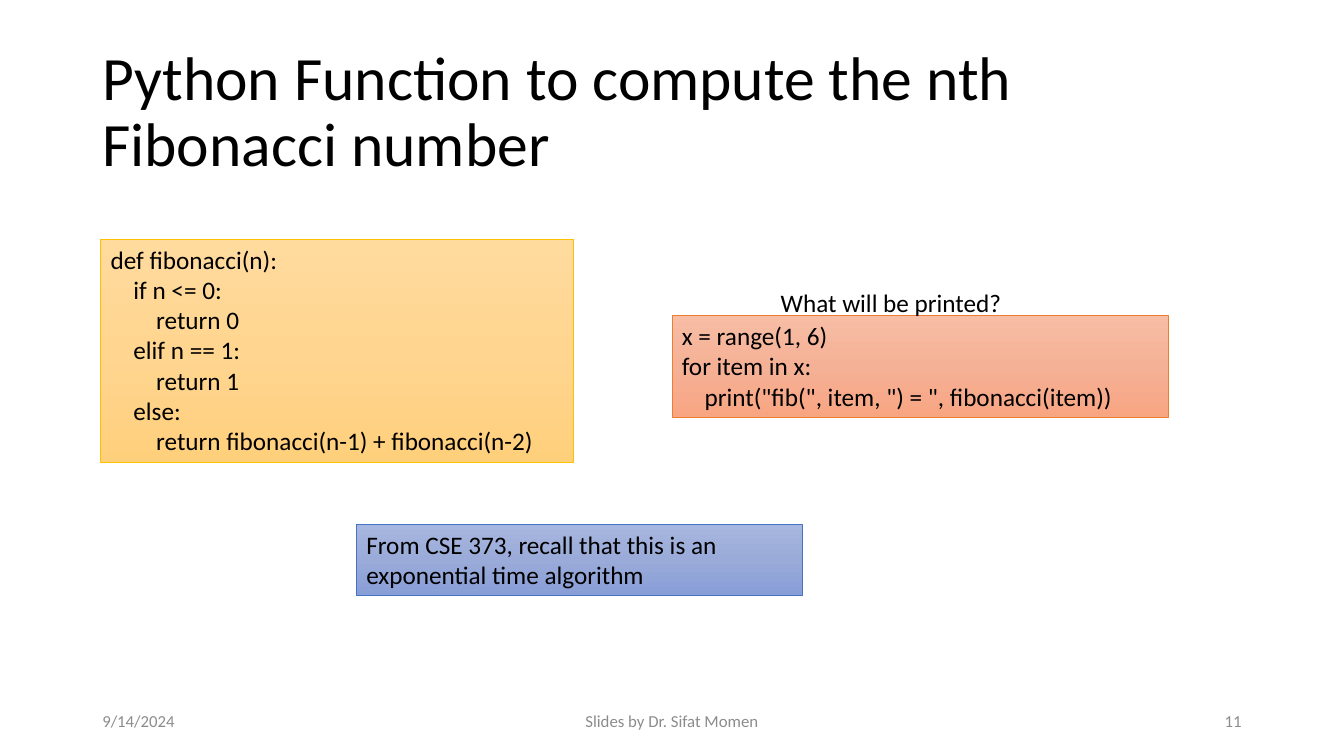
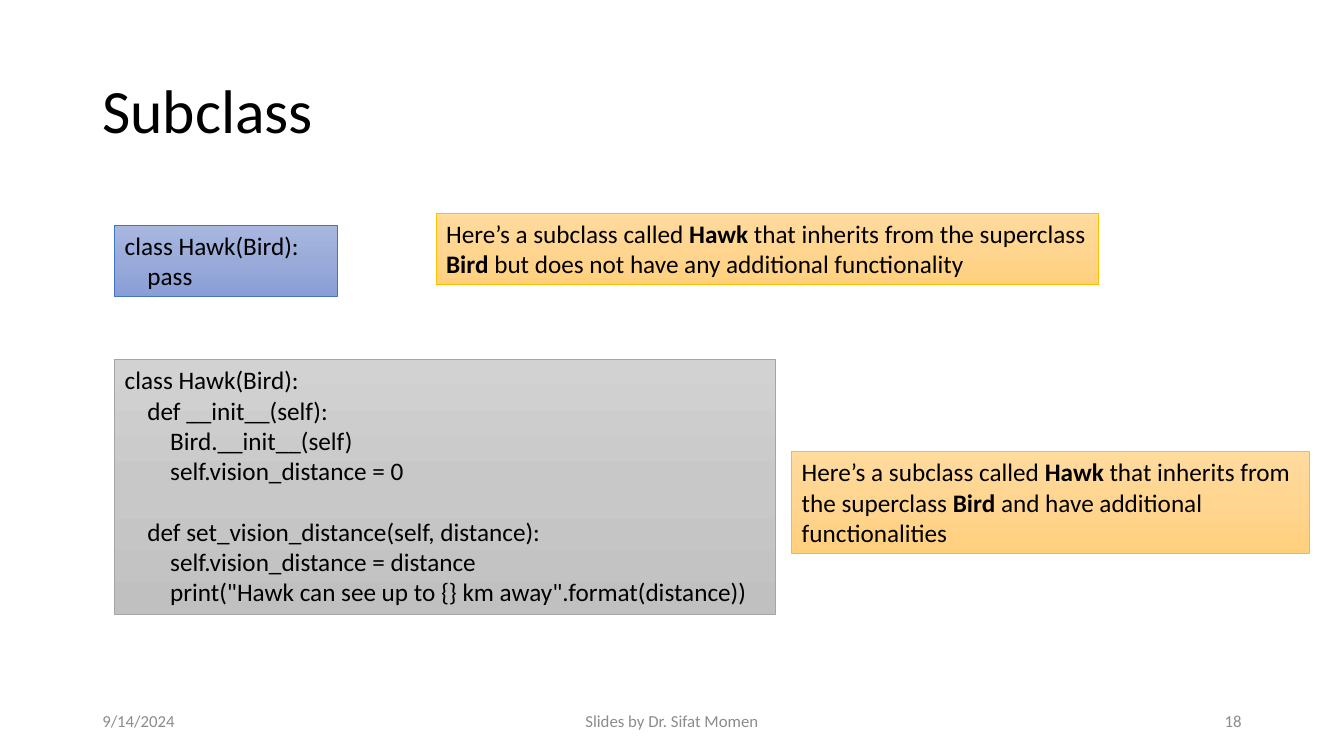
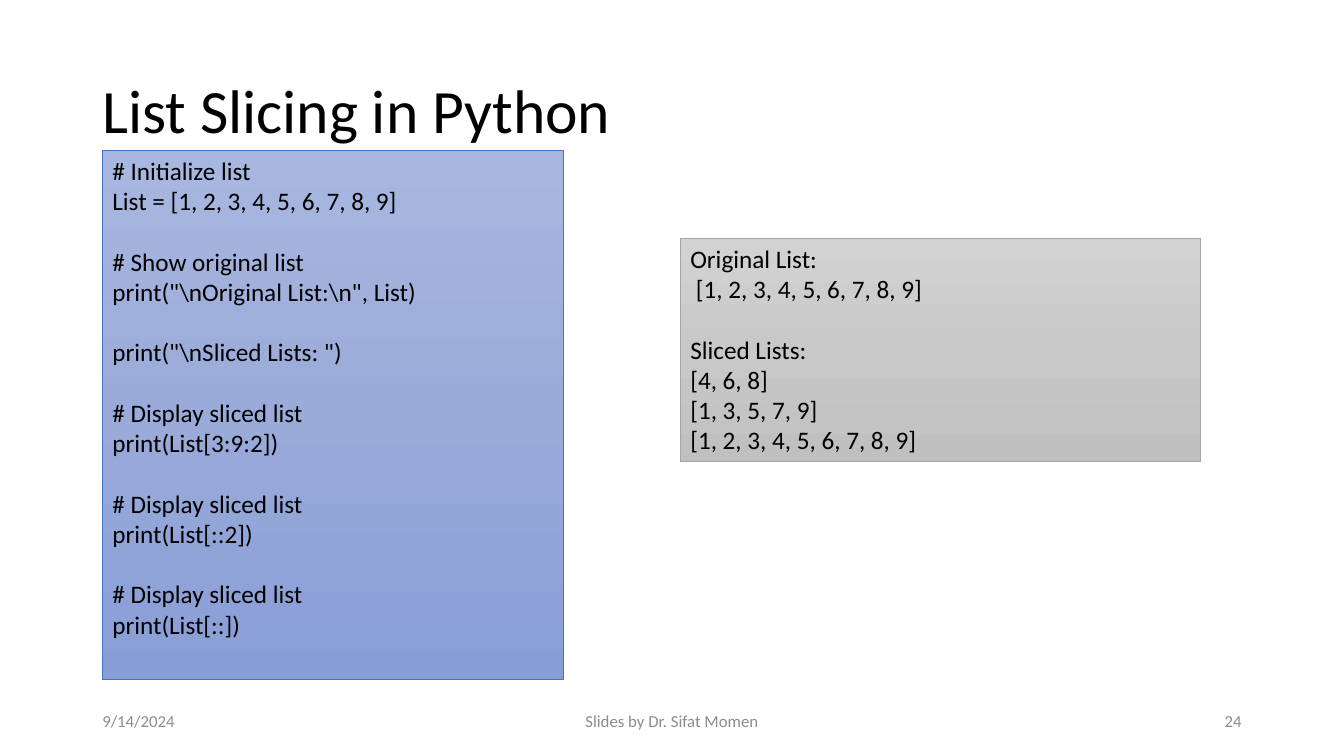
from copy import deepcopy
from dataclasses import dataclass
from typing import NamedTuple, Optional

from pptx import Presentation
from pptx.dml.color import RGBColor
from pptx.enum.shapes import MSO_SHAPE
from pptx.enum.text import MSO_ANCHOR, PP_ALIGN
from pptx.oxml.ns import qn
from pptx.shapes.autoshape import Shape
from pptx.slide import Slide
from pptx.util import Pt


class Palette(NamedTuple):
    top: str
    middle: str
    bottom: str
    border: str


class Area(NamedTuple):
    """Left, top, width and height in points."""
    left: float
    top: float
    width: float
    height: float

    def lengths(self) -> list[Pt]:
        return [Pt(value) for value in self]


@dataclass(frozen=True)
class Theme:
    font: str = "Calibri"
    text: str = "000000"
    footer: str = "8C8C8C"
    title_size: float = 44
    body_size: float = 18
    footer_size: float = 12
    blank_line: float = 21.6
    border_width: float = 0.5
    gold: Palette = Palette("FFDB9E", "FFD590", "FFD07C", "FFC000")
    orange: Palette = Palette("F7BDA5", "F5B196", "F8A582", "ED7D31")
    blue: Palette = Palette("A8B7DF", "9AABD9", "889ED7", "4472C4")
    gray: Palette = Palette("D2D2D2", "C8C8C8", "C0C0C0", "A5A5A5")


THEME = Theme()
TITLE_AREA = Area(66, 28.75, 828, 104.4)
FOOTER_TOP, FOOTER_HEIGHT = 500.5, 28.75
DATE = "9/14/2024"
CREDIT = "Slides by Dr. Sifat Momen"


@dataclass(frozen=True)
class Panel:
    area: Area
    text: str
    palette: Optional[Palette] = None


@dataclass(frozen=True)
class Page:
    number: int
    title: str
    panels: tuple[Panel, ...]


FIBONACCI_CODE = """\
def fibonacci(n):
    if n <= 0:
        return 0
    elif n == 1:
        return 1
    else:
        return fibonacci(n-1) + fibonacci(n-2)"""

PRINT_CODE = """\
x = range(1, 6)
for item in x:
    print("fib(", item, ") = ", fibonacci(item))"""

EMPTY_HAWK_CODE = """\
class Hawk(Bird):
    pass"""

HAWK_CODE = """\
class Hawk(Bird):
    def __init__(self):
        Bird.__init__(self)
        self.vision_distance = 0

    def set_vision_distance(self, distance):
        self.vision_distance = distance
        print("Hawk can see up to {} km away".format(distance))"""

SLICING_CODE = r"""# Initialize list
List = [1, 2, 3, 4, 5, 6, 7, 8, 9]

# Show original list
print("\nOriginal List:\n", List)

print("\nSliced Lists: ")

# Display sliced list
print(List[3:9:2])

# Display sliced list
print(List[::2])

# Display sliced list
print(List[::])"""

SLICING_OUTPUT = """\
Original List:
 [1, 2, 3, 4, 5, 6, 7, 8, 9]

Sliced Lists:
[4, 6, 8]
[1, 3, 5, 7, 9]
[1, 2, 3, 4, 5, 6, 7, 8, 9]"""

HAWK_NOTE = "Here’s a subclass called **Hawk** that inherits from the superclass **Bird** "

PAGES = (
    Page(11, "Python Function to compute the nth Fibonacci number", (
        Panel(Area(72, 170.7, 337.7, 159.8), FIBONACCI_CODE, THEME.gold),
        Panel(Area(480, 225.4, 354.4, 72.7), PRINT_CODE, THEME.orange),
        Panel(Area(550.6, 201.6, 175, 29), "What will be printed?"),
        Panel(Area(254.6, 374.4, 318.4, 50.9),
              "From CSE 373, recall that this is an exponential time algorithm", THEME.blue),
    )),
    Page(18, "Subclass", (
        Panel(Area(82, 161, 159, 50.9), EMPTY_HAWK_CODE, THEME.blue),
        Panel(Area(311.6, 152.6, 473, 50.9),
              HAWK_NOTE + "but does not have any additional functionality", THEME.gold),
        Panel(Area(82, 257, 471.8, 181.6), HAWK_CODE, THEME.gray),
        Panel(Area(565.6, 322.6, 369.6, 72.7),
              HAWK_NOTE + "and have additional functionalities", THEME.gold),
    )),
    Page(24, "List Slicing in Python", (
        Panel(Area(73.2, 107.4, 329, 378), SLICING_CODE, THEME.blue),
        Panel(Area(486, 170.2, 371.6, 159.6), SLICING_OUTPUT, THEME.gray),
    )),
)


def write(shape: Shape, text: str, *, size: float = THEME.body_size,
          color: str = THEME.text, align: PP_ALIGN = PP_ALIGN.LEFT,
          anchor: MSO_ANCHOR = MSO_ANCHOR.TOP, line_spacing: float = 1.0) -> None:
    """Set one paragraph a line; **marks** are bold, an empty line becomes space before."""
    frame = shape.text_frame
    frame.word_wrap = True
    frame.vertical_anchor = anchor
    paragraph = None
    gap = 0.0
    for line in text.split("\n"):
        if not line:
            gap += THEME.blank_line
            continue
        paragraph = frame.add_paragraph() if paragraph else frame.paragraphs[0]
        paragraph.alignment = align
        paragraph.line_spacing = line_spacing
        if gap:
            paragraph.space_before = Pt(gap)
            gap = 0.0
        for index, part in enumerate(line.split("**")):
            run = paragraph.add_run()
            run.text = part
            run.font.name = THEME.font
            run.font.size = Pt(size)
            run.font.bold = index % 2 == 1
            run.font.color.rgb = RGBColor.from_string(color)


def fill_gradient(shape: Shape, palette: Palette) -> None:
    shape.fill.gradient()
    shape.fill.gradient_angle = 270
    stop_list = shape.fill._xPr.find(f".//{qn('a:gsLst')}")
    stop_list.insert(1, deepcopy(stop_list[0]))
    colors = (palette.top, palette.middle, palette.bottom)
    for stop, position, color in zip(shape.fill.gradient_stops, (0, 0.5, 1), colors):
        stop.position = position
        stop.color.rgb = RGBColor.from_string(color)


def draw_panel(slide: Slide, panel: Panel) -> None:
    lengths = panel.area.lengths()
    if panel.palette:
        box = slide.shapes.add_shape(MSO_SHAPE.RECTANGLE, *lengths)
        box.shadow.inherit = False
        fill_gradient(box, panel.palette)
        box.line.color.rgb = RGBColor.from_string(panel.palette.border)
        box.line.width = Pt(THEME.border_width)
    else:
        box = slide.shapes.add_textbox(*lengths)
    write(box, panel.text)


def draw_frame(slide: Slide, page: Page) -> None:
    """Draw the title and the footer that all slides share."""
    title = slide.shapes.add_textbox(*TITLE_AREA.lengths())
    write(title, page.title, size=THEME.title_size, anchor=MSO_ANCHOR.MIDDLE, line_spacing=0.9)
    footers = (
        (66, 216, DATE, PP_ALIGN.LEFT),
        (318, 324, CREDIT, PP_ALIGN.CENTER),
        (678, 216, str(page.number), PP_ALIGN.RIGHT),
    )
    for left, width, text, align in footers:
        area = Area(left, FOOTER_TOP, width, FOOTER_HEIGHT)
        footer = slide.shapes.add_textbox(*area.lengths())
        write(footer, text, size=THEME.footer_size, color=THEME.footer,
              align=align, anchor=MSO_ANCHOR.MIDDLE)


def main() -> None:
    deck = Presentation()
    deck.slide_width, deck.slide_height = Pt(960), Pt(540)
    blank_layout = deck.slide_layouts[6]
    for page in PAGES:
        slide = deck.slides.add_slide(blank_layout)
        draw_frame(slide, page)
        for panel in page.panels:
            draw_panel(slide, panel)
    deck.save("out.pptx")


if __name__ == "__main__":
    main()
